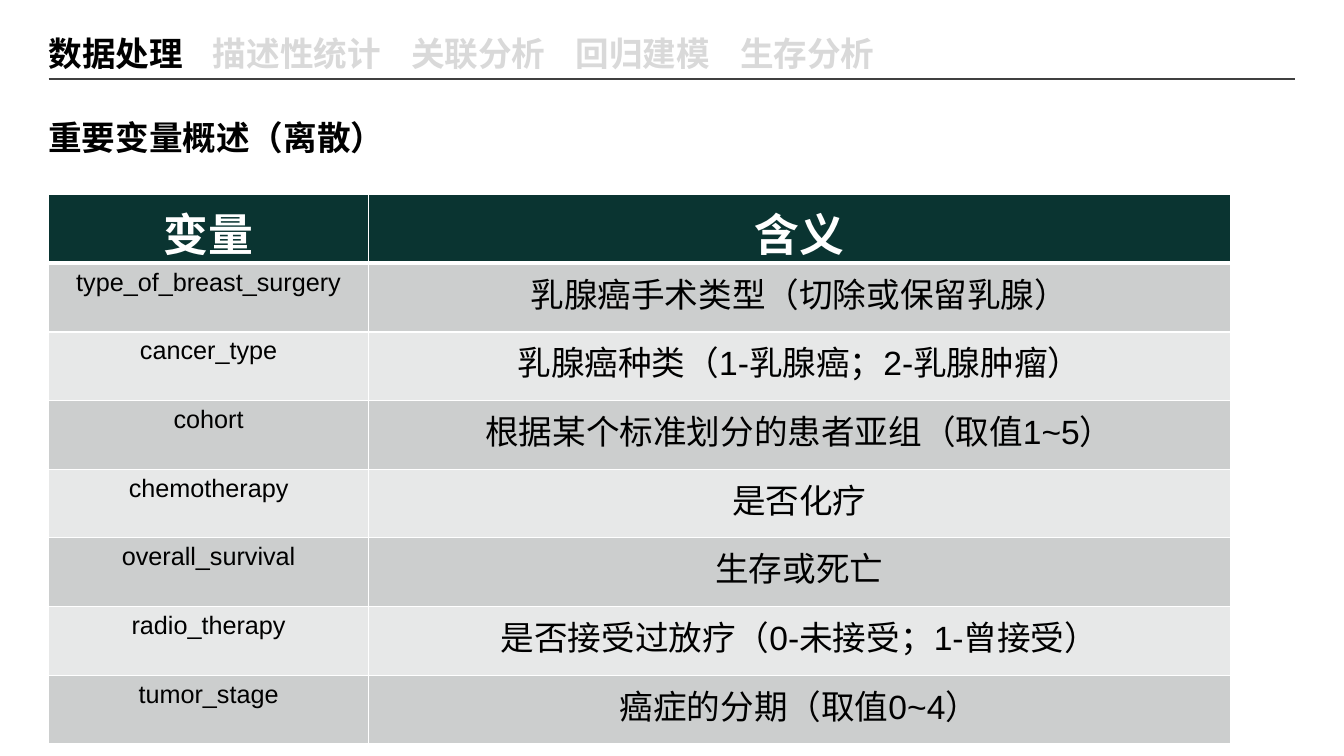
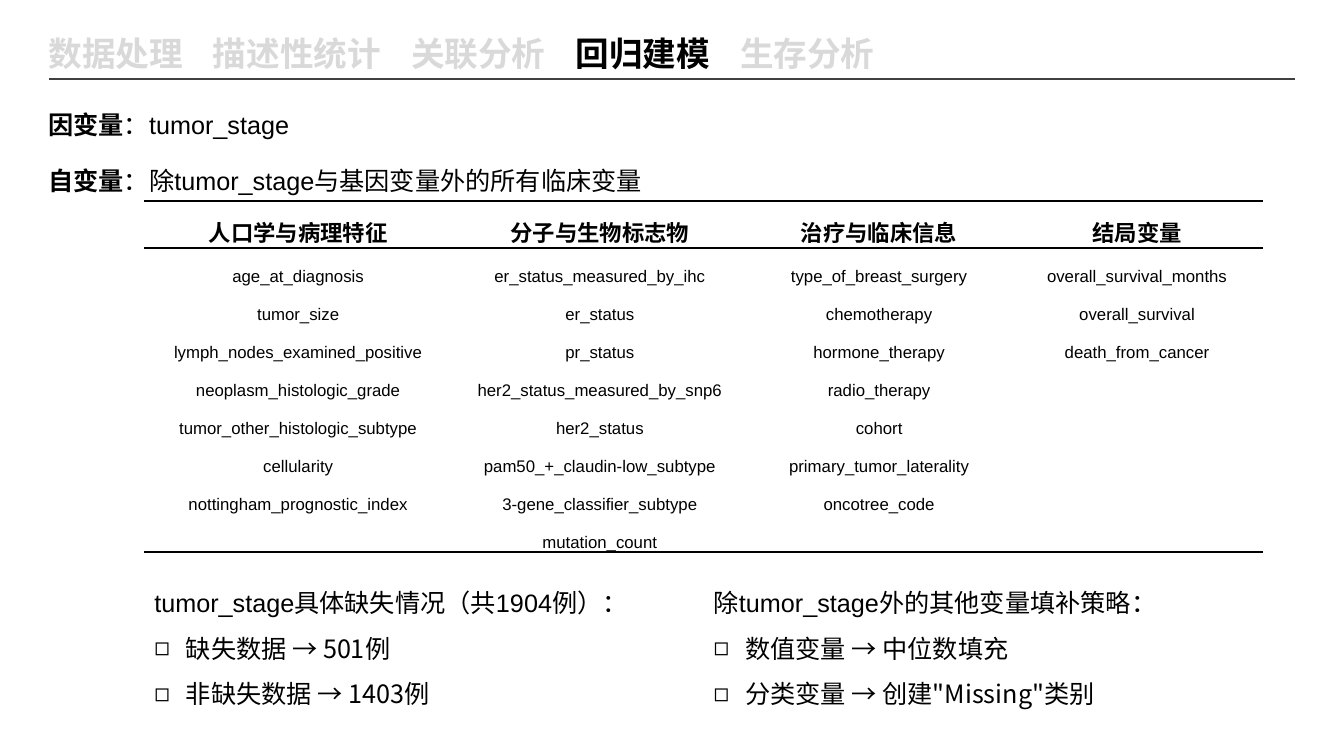
import pptx
import pptx.dml.color
import pptx.enum.shapes
import pptx.enum.text
import pptx.oxml
import pptx.oxml.ns
import lxml.etree

Pt = pptx.util.Pt
qn = pptx.oxml.ns.qn
PP_ALIGN = pptx.enum.text.PP_ALIGN
ANCHOR = pptx.enum.text.MSO_ANCHOR

BLACK, WHITE, GRAY, RULE = "000000", "FFFFFF", "D9D9D9", "404040"
DARK, BAND, LIGHT = "0A3431", "CCCECE", "E7E8E8"
CJK = "Noto Sans CJK SC"
BASE = {"size": Pt(18), "name": "Arial", "bold": False}
HEADING = {"size": Pt(24), "bold": True}
NOTO = {"name": CJK}
LABEL = {"name": CJK, "bold": True}
LEFT, GAP = 27.4, 21.5
SECTIONS = ["数据处理", "描述性统计", "关联分析", "回归建模", "生存分析"]


def rgb(value):
    return pptx.dml.color.RGBColor.from_string(value)


def write(p, runs, color=BLACK):
    for text, fmt in runs:
        r = p.add_run()
        r.text = text
        fmt = {**BASE, "color": color, **fmt}
        r.font.color.rgb = rgb(fmt.pop("color"))
        for name, value in fmt.items():
            setattr(r.font, name, value)
        ea = lxml.etree.SubElement(r.font._element, qn("a:ea"))
        ea.set("typeface", CJK)


prs = pptx.Presentation()
prs.slide_width, prs.slide_height = Pt(960), Pt(540)
s1 = prs.slides.add_slide(prs.slide_layouts[5])
s2 = prs.slides.add_slide(prs.slide_layouts[3])

for s, current in [(s1, "数据处理"), (s2, "回归建模")]:
    title = s.shapes.title
    title.left, title.top, title.width, title.height = Pt(LEFT), Pt(20.2), Pt(904), Pt(36)
    tf = title.text_frame
    tf.auto_size = pptx.enum.text.MSO_AUTO_SIZE.NONE
    tf.vertical_anchor = ANCHOR.TOP
    p = tf.paragraphs[0]
    p.alignment = PP_ALIGN.LEFT
    tabs = lxml.etree.SubElement(p._p.get_or_add_pPr(), qn("a:tabLst"))
    pos = 0
    for section in SECTIONS[:-1]:
        pos += len(section) * 24 + GAP
        tab = lxml.etree.SubElement(tabs, qn("a:tab"))
        tab.set("pos", str(int(Pt(pos))))
        tab.set("algn", "l")
    for i, section in enumerate(SECTIONS):
        color = BLACK if section == current else GRAY
        write(p, [("\t" * (i > 0) + section, HEADING)], color)

    line = s.shapes.add_connector(
        pptx.enum.shapes.MSO_CONNECTOR.STRAIGHT, Pt(34.8), Pt(56.7), Pt(925), Pt(56.7))
    line.line.color.rgb = rgb(RULE)
    line.line.width = Pt(1.25)
    lxml.etree.SubElement(line._element.spPr, qn("a:effectLst"))

text_boxes = [
    (s1, 80, 36, 1, [("重要变量概述（离散）", HEADING)]),
    (s2, 63.4, 39.6, 1.5, [("因变量", LABEL), ("：", NOTO), ("tumor_stage", {})]),
    (s2, 103.7, 39.6, 1.5, [("自变量", LABEL), ("：除", NOTO), ("tumor_stage", {}),
                            ("与基因变量外的所有临床变量", NOTO)]),
]
for s, top, height, spacing, runs in text_boxes:
    tf = s.shapes.add_textbox(Pt(LEFT), Pt(top), Pt(480), Pt(height)).text_frame
    tf.word_wrap = True
    p = tf.paragraphs[0]
    p.line_spacing = spacing
    write(p, runs)

variables = [
    ("变量", "含义"),
    ("type_of_breast_surgery", "乳腺癌手术类型（切除或保留乳腺）"),
    ("cancer_type", "乳腺癌种类（1-乳腺癌；2-乳腺肿瘤）"),
    ("cohort", "根据某个标准划分的患者亚组（取值1~5）"),
    ("chemotherapy", "是否化疗"),
    ("overall_survival", "生存或死亡"),
    ("radio_therapy", "是否接受过放疗（0-未接受；1-曾接受）"),
    ("tumor_stage", "癌症的分期（取值0~4）"),
]
predictors = [
    ("人口学与病理特征", "分子与生物标志物", "治疗与临床信息", "结局变量"),
    ("age_at_diagnosis", "er_status_measured_by_ihc", "type_of_breast_surgery", "overall_survival_months"),
    ("tumor_size", "er_status", "chemotherapy", "overall_survival"),
    ("lymph_nodes_examined_positive", "pr_status", "hormone_therapy", "death_from_cancer"),
    ("neoplasm_histologic_grade", "her2_status_measured_by_snp6", "radio_therapy", ""),
    ("tumor_other_histologic_subtype", "her2_status", "cohort", ""),
    ("cellularity", "pam50_+_claudin-low_subtype", "primary_tumor_laterality", ""),
    ("nottingham_prognostic_index", "3-gene_classifier_subtype", "oncotree_code", ""),
    ("", "mutation_count", "", ""),
]
tables = [
    dict(slide=s1, left=34.8, top=139, rows=variables, widths=[228.4, 615.6],
         heights=[49.05] * 8, fills=[DARK] + [BAND, LIGHT] * 3 + [BAND],
         head={"size": Pt(32), "bold": True, "color": WHITE},
         body=[{"size": Pt(18)}, {"size": Pt(24)}], spacing=1, cell={},
         border=WHITE, across=[1, 3] + [1] * 7, down=1),
    dict(slide=s2, left=103, top=143.5, rows=predictors, widths=[220, 211, 188, 180.5],
         heights=[33.8] + [27.1] * 8, fills=[None] * 9,
         head={"size": Pt(16), **LABEL}, body=[{"size": Pt(12)}] * 4, spacing=1.5,
         cell={"margin_left": Pt(0.7), "margin_right": Pt(0.7), "margin_top": Pt(0.7),
               "margin_bottom": 0, "vertical_anchor": ANCHOR.BOTTOM},
         border=BLACK, across=[1.5, 1.5] + [0] * 7 + [1.5], down=0),
]
for t in tables:
    rows, widths, heights = t["rows"], t["widths"], t["heights"]
    tbl = t["slide"].shapes.add_table(
        len(rows), len(widths), Pt(t["left"]), Pt(t["top"]),
        Pt(sum(widths)), Pt(sum(heights))).table
    tbl.horz_banding = False
    for column, width in zip(tbl.columns, widths):
        column.width = Pt(width)
    for i, row in enumerate(rows):
        tbl.rows[i].height = Pt(heights[i])
        for j, text in enumerate(row):
            cell = tbl.cell(i, j)
            for name, value in t["cell"].items():
                setattr(cell, name, value)
            edges = {"L": t["down"], "R": t["down"],
                     "T": t["across"][i], "B": t["across"][i + 1]}
            for side, width in edges.items():
                ln = lxml.etree.SubElement(cell._tc.get_or_add_tcPr(), qn("a:ln" + side))
                ln.set("w", str(int(Pt(width))))
                if width:
                    solid = lxml.etree.SubElement(ln, qn("a:solidFill"))
                    lxml.etree.SubElement(solid, qn("a:srgbClr")).set("val", t["border"])
                else:
                    lxml.etree.SubElement(ln, qn("a:noFill"))
            if t["fills"][i]:
                cell.fill.solid()
                cell.fill.fore_color.rgb = rgb(t["fills"][i])
            else:
                cell.fill.background()
            if text:
                p = cell.text_frame.paragraphs[0]
                p.alignment = PP_ALIGN.CENTER
                p.line_spacing = t["spacing"] if i else 1
                write(p, [(text, t["body"][j] if i else t["head"])])

lists = [
    (1, 103, [("tumor_stage具体缺失情况（共1904例）", {}), ("：", NOTO)],
     ["缺失数据 → 501例", "非缺失数据 → 1403例"]),
    (2, 502.6, [("除", NOTO), ("tumor_stage外的其他变量", {}), ("填补策略：", NOTO)],
     ["数值变量 → 中位数填充", "分类变量 → 创建\"Missing\"类别"]),
]
for idx, left, lead, items in lists:
    sp = s2.placeholders[idx]
    sp.left, sp.top, sp.width, sp.height = Pt(left), Pt(405.4), Pt(400), Pt(118)
    tf = sp.text_frame
    tf.auto_size = pptx.enum.text.MSO_AUTO_SIZE.NONE
    for i, runs in enumerate([lead] + [[(item, NOTO)] for item in items]):
        p = tf.add_paragraph() if i else tf.paragraphs[0]
        pPr = p._p.get_or_add_pPr()
        indent = Pt(22.5) if i else 0
        pPr.set("marL", str(int(indent)))
        pPr.set("indent", str(-int(indent)))
        if i:
            lxml.etree.SubElement(pPr, qn("a:buChar")).set("char", "◻")
        else:
            lxml.etree.SubElement(pPr, qn("a:buNone"))
        p.line_spacing = 1.5
        p.space_before = Pt(0)
        write(p, runs)

prs.save("out.pptx")
